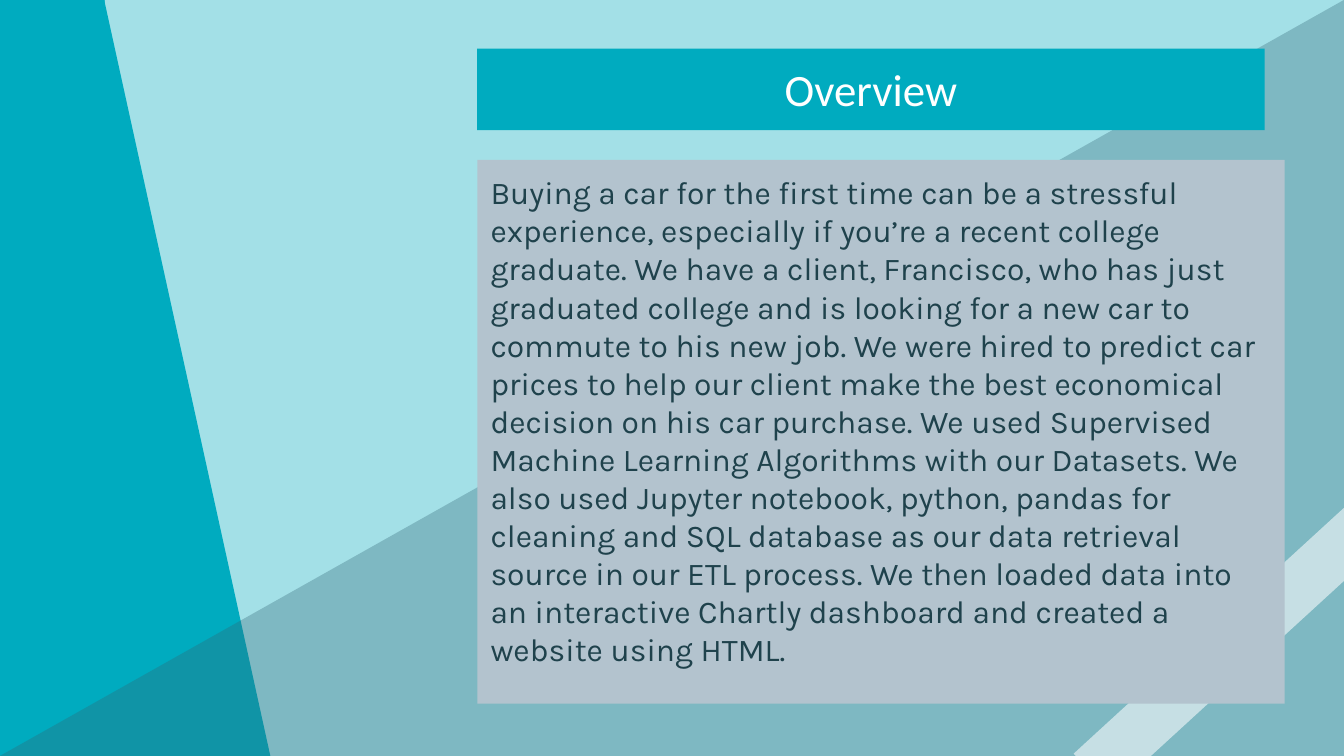
from lxml import etree
from pptx import Presentation
from pptx.dml.color import RGBColor
from pptx.enum.shapes import MSO_SHAPE
from pptx.enum.text import MSO_ANCHOR, MSO_AUTO_SIZE, PP_ALIGN
from pptx.oxml.ns import qn
from pptx.util import Cm, Pt

RECTANGLE = MSO_SHAPE.RECTANGLE
TRIANGLE = MSO_SHAPE.RIGHT_TRIANGLE
TOP = MSO_ANCHOR.TOP
NO_AUTOFIT = MSO_AUTO_SIZE.NONE
LEFT, CENTER = PP_ALIGN.LEFT, PP_ALIGN.CENTER
TITLE_ONLY = 5
WIDTH, HEIGHT = 25.4, 14.29
COLORS = {
    "teal": "00ABBF",
    "slate": "336574",
    "white": "FFFFFF",
    "panel": "B3C3CE",
    "ink": "1F424C",
}
OVERVIEW = (
    "Buying a car for the first time can be a stressful experience, especially "
    "if you’re a recent college graduate. We have a client, Francisco, who has "
    "just graduated college and is looking for a new car to commute to his new "
    "job. We were hired to predict car prices to help our client make the best "
    "economical decision on his car purchase. We used Supervised Machine "
    "Learning Algorithms with our Datasets. We also used Jupyter notebook, "
    "python, pandas for cleaning and SQL database as our data retrieval source "
    "in our ETL process. We then loaded data into an interactive Chartly "
    "dashboard and created a website using HTML."
)


def paint(shape, color, opacity=100):
    """Fill a shape with a colour at an opacity in percent."""
    shape.fill.solid()
    shape.fill.fore_color.rgb = RGBColor.from_string(COLORS[color])
    if opacity < 100:
        tone = shape.element.spPr.find(qn("a:solidFill"))[0]
        etree.SubElement(tone, qn("a:alpha"), val=str(opacity * 1000))


def add_area(page, kind, bounds, color, opacity=100, rotation=0, mirrored=False):
    """Add a flat, borderless shape."""
    area = page.shapes.add_shape(kind, *map(Cm, bounds))
    area.shadow.inherit = False
    area.line.fill.background()
    area.rotation = rotation
    if mirrored:
        area.element.spPr.find(qn("a:xfrm")).set("flipH", "1")
    paint(area, color, opacity)
    return area


def write(box, text, font, size, color, alignment):
    """Write one paragraph from the top of a box."""
    frame = box.text_frame
    frame.word_wrap = True
    frame.auto_size = NO_AUTOFIT
    frame.vertical_anchor = TOP
    frame.margin_left = frame.margin_right = Cm(0.25)
    frame.margin_top = frame.margin_bottom = Cm(0.25)
    para = frame.paragraphs[0]
    para.alignment = alignment
    span = para.add_run()
    span.text = text
    span.font.name = font
    span.font.size = Pt(size)
    span.font.color.rgb = RGBColor.from_string(COLORS[color])


def add_backdrop(page):
    """Add the tinted ground, the teal wedge, the slope and the stripe."""
    add_area(page, RECTANGLE, (0, 0, WIDTH, HEIGHT), "teal", 36)
    add_area(page, RECTANGLE, (0, 0, 1.98, HEIGHT), "teal")
    add_area(page, TRIANGLE, (1.97, 0, 3.14, HEIGHT), "teal")
    add_area(page, TRIANGLE, (0, 0, WIDTH, HEIGHT), "slate", 32, mirrored=True)
    for left, top in ((20.24, 13.1), (23.29, 10.34)):
        add_area(page, RECTANGLE, (left, top, 3, 1.02), "white", 56, rotation=317.5)


def place_title(page):
    """Turn the title placeholder into the text panel above the backdrop."""
    title = page.shapes.title
    title.left, title.top, title.width, title.height = map(
        Cm, (9.02, 3.02, 15.26, 10.28)
    )
    paint(title, "panel")
    write(title, OVERVIEW, "Karla", 17, "ink", LEFT)
    title.element.getparent().append(title.element)


def main():
    """Build and save the deck."""
    deck = Presentation()
    deck.slide_width, deck.slide_height = Cm(WIDTH), Cm(HEIGHT)
    page = deck.slides.add_slide(deck.slide_layouts[TITLE_ONLY])
    add_backdrop(page)
    place_title(page)
    banner = add_area(page, RECTANGLE, (9.02, 0.92, 14.88, 1.54), "teal")
    write(banner, "Overview", "Calibri", 24, "white", CENTER)
    deck.save("out.pptx")


if __name__ == "__main__":
    main()
